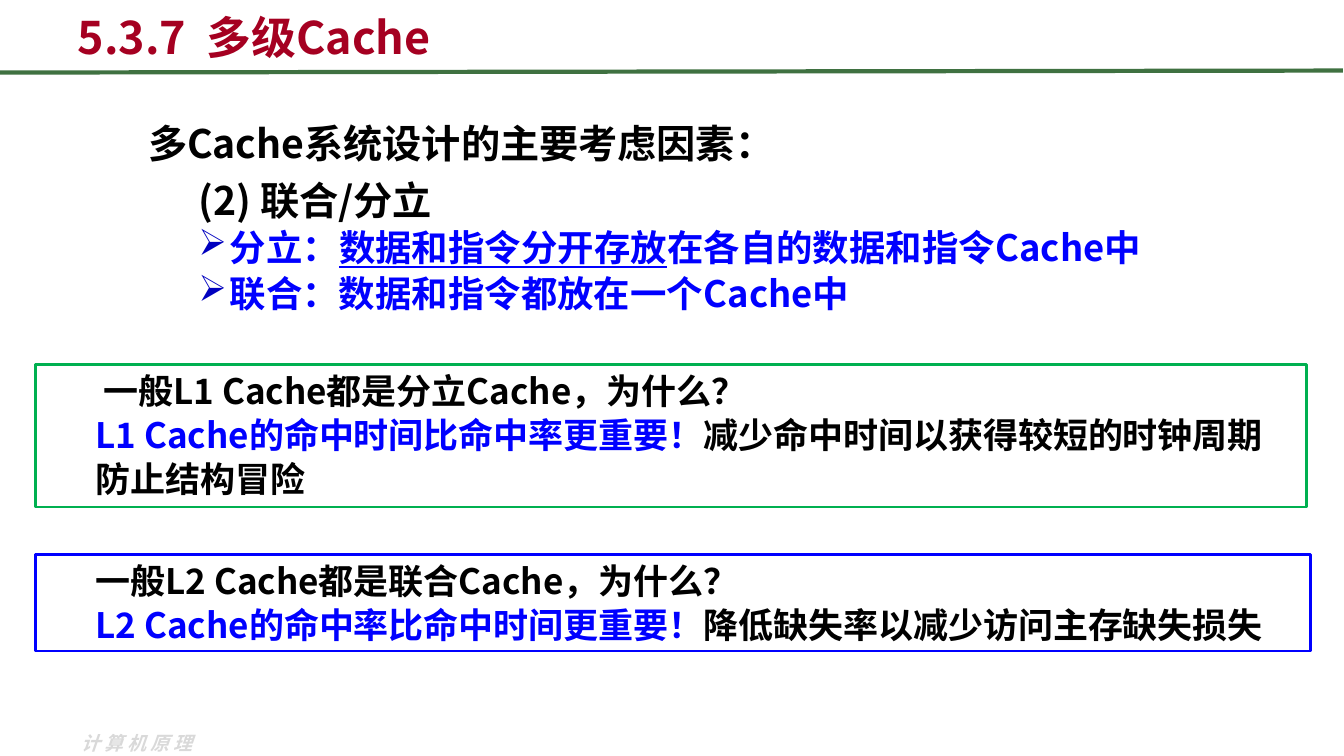
from lxml import etree
from pptx import Presentation
from pptx.dml.color import RGBColor
from pptx.enum.shapes import MSO_CONNECTOR, MSO_SHAPE
from pptx.enum.text import MSO_ANCHOR, MSO_AUTO_SIZE, PP_ALIGN
from pptx.oxml.ns import qn
from pptx.util import Inches, Pt

FONT = "Noto Sans CJK SC"
COLORS = {
    "title": "A50021", "rule": "3F7141", "black": "000000", "blue": "0000FF",
    "bullet": "0000BF", "green": "00B050", "white": "FFFFFF", "footer": "D9D9D9",
}


def rgb(name):
    return RGBColor.from_string(COLORS[name])


def style(paragraph, size, color=None, italic=False):
    font = paragraph.font
    font.name, font.size, font.bold, font.italic = FONT, Pt(size), True, italic
    if color:
        font.color.rgb = rgb(color)
    east_asian = etree.SubElement(font._element, qn("a:ea"))
    east_asian.set("typeface", FONT)


def set_indent(paragraph, left, first=0.0):
    properties = paragraph._p.get_or_add_pPr()
    properties.set("marL", str(Inches(left)))
    properties.set("indent", str(Inches(first)))
    return properties


def add_bullet(properties):
    bullet_color = etree.SubElement(properties, qn("a:buClr"))
    etree.SubElement(bullet_color, qn("a:srgbClr")).set("val", COLORS["bullet"])
    etree.SubElement(properties, qn("a:buChar")).set("char", "➢")


def add_runs(paragraph, parts):
    for text, color, underlined in parts:
        run = paragraph.add_run()
        run.text = text
        run.font.color.rgb = rgb(color)
        if underlined:
            run.font.underline = True


def next_paragraph(frame, index):
    paragraph = frame.add_paragraph() if index else frame.paragraphs[0]
    paragraph.alignment = PP_ALIGN.LEFT
    return paragraph


def add_text_box(slide, left, top, width, height):
    frame = slide.shapes.add_textbox(
        Inches(left), Inches(top), Inches(width), Inches(height)).text_frame
    frame.word_wrap = True
    return frame


def add_title(slide, text):
    title = slide.shapes.title
    title.left, title.top = Inches(0.67), Inches(-0.03)
    title.width, title.height = Inches(12), Inches(0.71)
    frame = title.text_frame
    frame.text = text
    frame.auto_size = MSO_AUTO_SIZE.NONE
    frame.vertical_anchor = MSO_ANCHOR.BOTTOM
    frame.paragraphs[0].alignment = PP_ALIGN.LEFT
    style(frame.paragraphs[0], 32, "title")


def add_rule(slide):
    rule = slide.shapes.add_connector(
        MSO_CONNECTOR.STRAIGHT, 0, Inches(0.72), Inches(13.32), Inches(0.7))
    rule.line.color.rgb = rgb("rule")
    rule.line.width = Pt(3)
    etree.SubElement(rule._element.spPr, qn("a:effectLst"))


def add_factors(slide, heading, topic, choices):
    frame = add_text_box(slide, 1.37, 1.13, 11.48, 4.09)
    first = next_paragraph(frame, 0)
    first.text = heading
    first.space_after = Pt(6)
    style(first, 28, "black")

    second = next_paragraph(frame, 1)
    second.text = topic
    set_indent(second, 0.81, -0.31)
    second.space_before = Pt(1.4)
    style(second, 28, "black")

    for index, parts in enumerate(choices, 2):
        choice = next_paragraph(frame, index)
        choice.space_before = Pt(1.3)
        add_bullet(set_indent(choice, 0.81, -0.31))
        style(choice, 26)
        add_runs(choice, parts)


def add_question(slide, top, width, height, border, lines):
    panel = slide.shapes.add_shape(
        MSO_SHAPE.RECTANGLE, Inches(0.35), Inches(top), Inches(width), Inches(height))
    panel.shadow.inherit = False
    panel.fill.solid()
    panel.fill.fore_color.rgb = rgb("white")
    panel.line.color.rgb = rgb(border)
    panel.line.width = Pt(2)
    frame = panel.text_frame
    frame.word_wrap = True
    frame.vertical_anchor = MSO_ANCHOR.TOP
    for index, parts in enumerate(lines):
        line = next_paragraph(frame, index)
        set_indent(line, 0.5)
        if index:
            line.space_before = Pt(1.25)
        style(line, 25)
        add_runs(line, parts)


def add_footer(slide, text):
    frame = add_text_box(slide, 0.71, 7.21, 1.46, 0.34)
    footer = next_paragraph(frame, 0)
    style(footer, 13.5, "footer", italic=True)
    run = footer.add_run()
    run.text = text
    run.font._element.set("spc", "300")


def main():
    deck = Presentation()
    deck.slide_width, deck.slide_height = Inches(13.33), Inches(7.5)
    slide = deck.slides.add_slide(deck.slide_layouts[5])
    add_footer(slide, "计算机原理")
    add_rule(slide)
    add_title(slide, "5.3.7  多级Cache")
    add_factors(slide, "多Cache系统设计的主要考虑因素：", "(2) 联合/分立", [
        [("分立：", "blue", False),
         ("数据和指令分开存放", "blue", True),
         ("在各自的数据和指令Cache中", "blue", False)],
        [("联合：数据和指令都放在一个Cache中", "blue", False)],
    ])
    add_question(slide, 3.62, 12.61, 1.41, "green", [
        [(" 一般L1 Cache都是分立Cache，为什么？", "black", False)],
        [("L1 Cache的命中时间比命中率更重要！", "blue", False),
         ("减少命中时间以获得较短的时钟周期", "black", False)],
        [("防止结构冒险", "black", False)],
    ])
    add_question(slide, 5.5, 12.65, 0.96, "blue", [
        [("一般L2 Cache都是联合Cache，为什么？", "black", False)],
        [("L2 Cache的命中率比命中时间更重要！", "blue", False),
         ("降低缺失率以减少访问主存缺失损失", "black", False)],
    ])
    deck.save("out.pptx")


if __name__ == "__main__":
    main()
